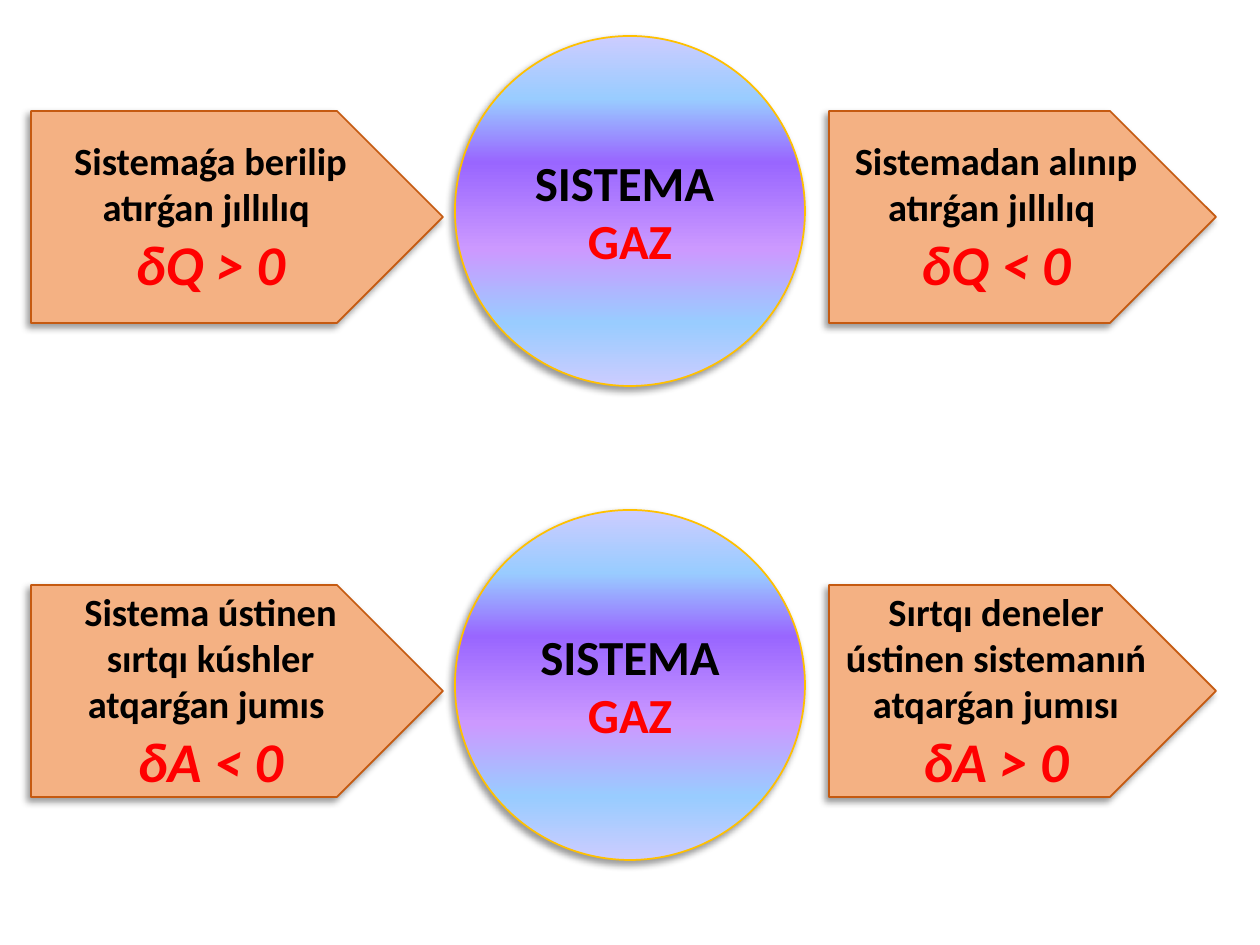
import pptx
import pptx.util
import pptx.dml.color
import pptx.enum.shapes
import pptx.enum.text
import pptx.oxml.ns
import lxml.etree

PX = 914400 / 126  # EMU in one px

COLOURS = {
    "text": "000000",
    "accent": "FF0000",
    "arrow": "F4B183",
    "arrow line": "C55A11",
    "gas line": "FFC000",
    "shadow": "000000",
}
GAS_STOPS = [(0, "CCCCFF"), (18, "99CCFF"), (36, "9966FF"),
             (61, "CC99FF"), (82, "99CCFF"), (100, "CCCCFF")]


def px(length):
    return pptx.util.Emu(round(length * PX))


def rgb(name):
    return pptx.dml.color.RGBColor.from_string(COLOURS[name])


def add_element(parent, tag, **attributes):
    return lxml.etree.SubElement(parent, pptx.oxml.ns.qn(tag), attributes)


class Diagram:
    """Holds the text style and the page being drawn."""

    font = "Calibri"
    label_size, formula_size, gas_size = 22, 32, 28

    def __init__(self, page):
        self.page = page

    def shape(self, kind, left, top, width, height, line):
        kinds = pptx.enum.shapes.MSO_SHAPE
        shape = self.page.shapes.add_shape(
            kinds[kind], px(left), px(top), px(width), px(height))
        shape.line.color.rgb = rgb(line)
        shape.line.width = pptx.util.Pt(1)
        shape.text_frame.vertical_anchor = pptx.enum.text.MSO_ANCHOR.MIDDLE
        self.shadow(shape)
        return shape

    def shadow(self, shape):
        shape.shadow.inherit = False
        effects = shape._element.spPr.find(pptx.oxml.ns.qn("a:effectLst"))
        outer = add_element(
            effects, "a:outerShdw", blurRad=str(pptx.util.Pt(4)),
            dist=str(pptx.util.Pt(3)), dir=str(135 * 60000),
            algn="tr", rotWithShape="0")
        colour = add_element(outer, "a:srgbClr", val=COLOURS["shadow"])
        add_element(colour, "a:alpha", val="40000")

    def paragraph(self, shape, index, text, size, colour, italic=False):
        frame = shape.text_frame
        para = frame.add_paragraph() if index else frame.paragraphs[0]
        para.alignment = pptx.enum.text.PP_ALIGN.CENTER
        para.add_run().text = text
        para.font.name = self.font
        para.font.size = pptx.util.Pt(size)
        para.font.bold = True
        para.font.italic = italic
        para.font.color.rgb = rgb(colour)
        return para

    def gas(self, left, top, diameter, title):
        circle = self.shape("OVAL", left, top, diameter, diameter, "gas line")
        circle.fill.gradient()
        circle.fill.gradient_angle = 270  # counted anticlockwise: top to bottom
        stops = next(circle._element.spPr.iter(pptx.oxml.ns.qn("a:gsLst")))
        stops.clear()
        for percent, colour in GAS_STOPS:
            stop = add_element(stops, "a:gs", pos=str(percent * 1000))
            add_element(stop, "a:srgbClr", val=colour)
        self.paragraph(circle, 0, title, self.gas_size, "text")
        self.paragraph(circle, 1, "GAZ", self.gas_size, "accent")

    def arrow(self, left, top, width, height, label, formula):
        arrow = self.shape("PENTAGON", left, top, width, height, "arrow line")
        arrow.fill.solid()
        arrow.fill.fore_color.rgb = rgb("arrow")
        self.paragraph(arrow, 0, label, self.label_size, "text")
        self.paragraph(arrow, 1, formula, self.formula_size, "accent", True)


# Each row: gas title, what goes in, what comes out
ROWS = [
    ("SISTEMA ",
     ("Sistemaǵa berilip atırǵan jıllılıq ", "δQ > 0"),
     ("Sistemadan alınıp atırǵan jıllılıq ", "δQ < 0")),
    ("SISTEMA",
     ("Sistema ústinen sırtqı kúshler atqarǵan jumıs ", "δА < 0"),
     ("Sırtqı deneler ústinen sistemanıń atqarǵan jumısı", "δА > 0")),
]
ROW_TOP, ROW_STEP = 36, 474
ARROW_DROP, ARROW_HEIGHT = 75, 212


def main():
    deck = pptx.Presentation()
    deck.slide_width, deck.slide_height = px(1260), px(945)
    diagram = Diagram(deck.slides.add_slide(deck.slide_layouts[6]))

    # Heat row, then work row
    for number, (title, incoming, outgoing) in enumerate(ROWS):
        top = ROW_TOP + number * ROW_STEP
        diagram.gas(455, top, 350, title)
        diagram.arrow(31, top + ARROW_DROP, 412, ARROW_HEIGHT, *incoming)
        diagram.arrow(829, top + ARROW_DROP, 387, ARROW_HEIGHT, *outgoing)

    deck.save("out.pptx")


if __name__ == "__main__":
    main()
